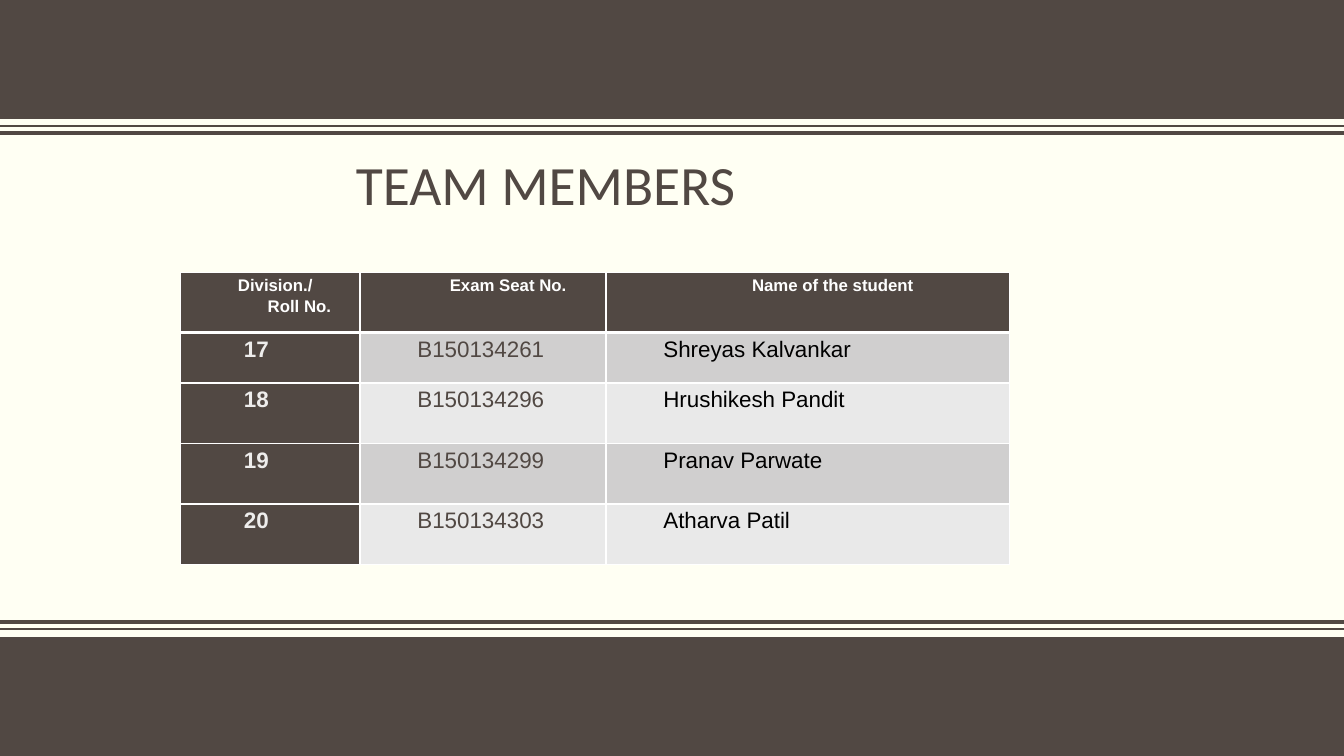
from dataclasses import dataclass

from lxml import etree
from pptx import Presentation
from pptx.dml.color import RGBColor
from pptx.enum.shapes import MSO_CONNECTOR, MSO_SHAPE
from pptx.enum.text import MSO_ANCHOR, MSO_AUTO_SIZE, PP_ALIGN
from pptx.oxml.ns import qn
from pptx.slide import Slide
from pptx.table import _Cell
from pptx.util import Inches, Pt

RECTANGLE = MSO_SHAPE.RECTANGLE
STRAIGHT = MSO_CONNECTOR.STRAIGHT
LEFT, CENTER = PP_ALIGN.LEFT, PP_ALIGN.CENTER

BROWN = RGBColor(0x51, 0x48, 0x43)
IVORY = RGBColor(0xFF, 0xFF, 0xF3)
WHITE = RGBColor(0xFF, 0xFF, 0xFF)
BLACK = RGBColor(0x00, 0x00, 0x00)
PALE = RGBColor(0xEE, 0xED, 0xEC)
GREY = RGBColor(0xD0, 0xCF, 0xCF)
LIGHT_GREY = RGBColor(0xE9, 0xE9, 0xE9)

SLIDE_WIDTH, SLIDE_HEIGHT = 13.33, 7.5
BAND_HEIGHT = 1.18


@dataclass
class Rule:
    top: float
    weight: float


@dataclass
class Line:
    text: str
    align: PP_ALIGN = LEFT
    indent: float = 0.5


@dataclass
class CellStyle:
    size: float
    color: RGBColor
    fill: RGBColor
    bold: bool = False
    bottom_border: float = 1


RULES = [Rule(1.25, 1), Rule(1.32, 3), Rule(6.17, 3), Rule(6.24, 1)]
COLUMN_WIDTHS = [1.78, 2.44, 4]
ROW_HEIGHTS = [0.6, 0.5, 0.6, 0.6, 0.6]
HEADINGS = [
    [Line("Division./"), Line("Roll No.", CENTER, 0.58)],
    [Line("Exam Seat No.", CENTER)],
    [Line("Name of the student", CENTER)],
]
MEMBERS = [
    ("17", "B150134261", "Shreyas Kalvankar"),
    ("18", "B150134296", "Hrushikesh Pandit"),
    ("19", "B150134299", "Pranav Parwate"),
    ("20", "B150134303", "Atharva Patil"),
]


def add_band(slide: Slide, top: float) -> None:
    band = slide.shapes.add_shape(RECTANGLE, 0, Inches(top),
                                  Inches(SLIDE_WIDTH), Inches(BAND_HEIGHT))
    band.shadow.inherit = False
    band.fill.solid()
    band.fill.fore_color.rgb = BROWN
    band.line.fill.background()


def add_rule(slide: Slide, rule: Rule) -> None:
    line = slide.shapes.add_connector(STRAIGHT, 0, Inches(rule.top),
                                      Inches(SLIDE_WIDTH), Inches(rule.top))
    line.line.color.rgb = BROWN
    line.line.width = Pt(rule.weight)
    etree.SubElement(line._element.spPr, qn("a:effectLst"))


def add_borders(cell: _Cell, bottom: float) -> None:
    properties = cell._tc.get_or_add_tcPr()
    for side, weight in (("L", 1), ("R", 1), ("T", 1), ("B", bottom)):
        border = etree.SubElement(properties, qn(f"a:ln{side}"), w=str(Pt(weight)))
        fill = etree.SubElement(border, qn("a:solidFill"))
        etree.SubElement(fill, qn("a:srgbClr"), val=str(WHITE))


def fill_cell(cell: _Cell, lines: list[Line], style: CellStyle) -> None:
    add_borders(cell, style.bottom_border)
    cell.fill.solid()
    cell.fill.fore_color.rgb = style.fill
    cell.margin_left = cell.margin_right = Inches(0.07)
    cell.margin_top, cell.margin_bottom = Inches(0.01), 0
    cell.text = "\n".join(line.text for line in lines)
    for paragraph, line in zip(cell.text_frame.paragraphs, lines):
        paragraph.alignment = line.align
        paragraph.line_spacing = 1.15
        paragraph._p.get_or_add_pPr().set("marL", str(Inches(line.indent)))
        paragraph.font.name = "Arial"
        paragraph.font.size = Pt(style.size)
        paragraph.font.bold = style.bold
        paragraph.font.color.rgb = style.color


def add_title(slide: Slide) -> None:
    title = slide.shapes.title
    title.left, title.top = Inches(3.53), Inches(1.55)
    title.width, title.height = Inches(6.27), Inches(0.63)
    frame = title.text_frame
    frame.text = "TEAM MEMBERS"
    frame.auto_size = MSO_AUTO_SIZE.NONE
    frame.vertical_anchor = MSO_ANCHOR.MIDDLE
    frame.margin_left = frame.margin_right = 0
    heading = frame.paragraphs[0]
    heading.alignment = LEFT
    heading.line_spacing = 0.9
    heading.font.name = "Calibri"
    heading.font.size = Pt(39.6)
    heading.font.color.rgb = BROWN


def add_members_table(slide: Slide) -> None:
    members = slide.shapes.add_table(
        len(ROW_HEIGHTS), len(COLUMN_WIDTHS), Inches(1.79), Inches(2.7),
        Inches(sum(COLUMN_WIDTHS)), Inches(sum(ROW_HEIGHTS))).table
    for column, width in zip(members.columns, COLUMN_WIDTHS):
        column.width = Inches(width)
    for row, height in zip(members.rows, ROW_HEIGHTS):
        row.height = Inches(height)

    # Header row
    heading_style = CellStyle(12, WHITE, BROWN, bold=True, bottom_border=3)
    for column, lines in enumerate(HEADINGS):
        fill_cell(members.cell(0, column), lines, heading_style)

    # Member rows, shaded in turn
    for row, (roll, seat, name) in enumerate(MEMBERS, start=1):
        shade = GREY if row % 2 else LIGHT_GREY
        fill_cell(members.cell(row, 0), [Line(roll, indent=0.56)],
                  CellStyle(16, PALE, BROWN, bold=True))
        fill_cell(members.cell(row, 1), [Line(seat)], CellStyle(16, BROWN, shade))
        fill_cell(members.cell(row, 2), [Line(name)], CellStyle(16, BLACK, shade))


def main() -> None:
    presentation = Presentation()
    presentation.slide_width = Inches(SLIDE_WIDTH)
    presentation.slide_height = Inches(SLIDE_HEIGHT)
    slide = presentation.slides.add_slide(
        presentation.slide_layouts.get_by_name("Title Only"))
    slide.background.fill.solid()
    slide.background.fill.fore_color.rgb = IVORY

    # Frame of bands and rules
    for top in (0, SLIDE_HEIGHT - BAND_HEIGHT):
        add_band(slide, top)
    for rule in RULES:
        add_rule(slide, rule)

    # Content
    add_title(slide)
    add_members_table(slide)
    presentation.save("out.pptx")


if __name__ == "__main__":
    main()
